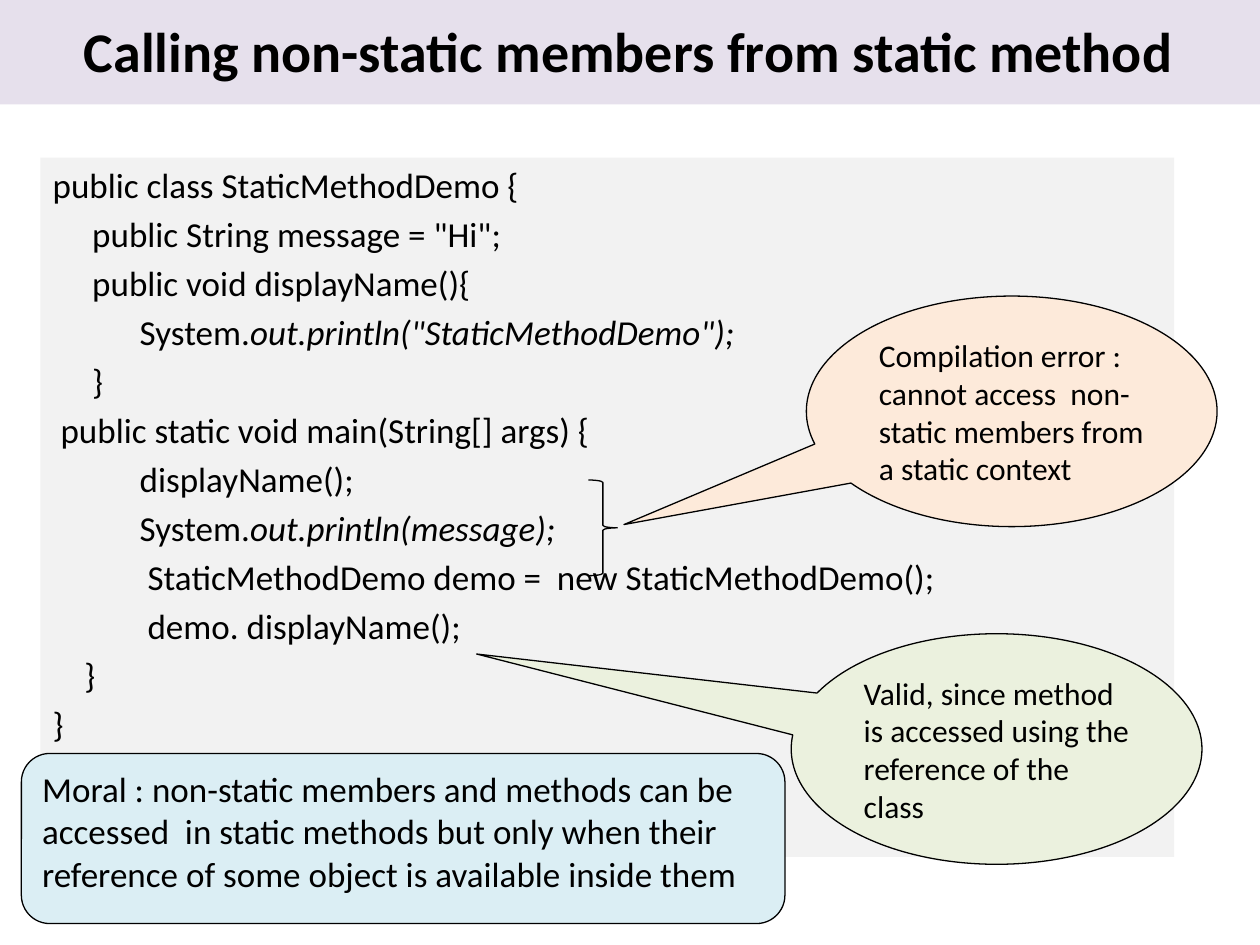
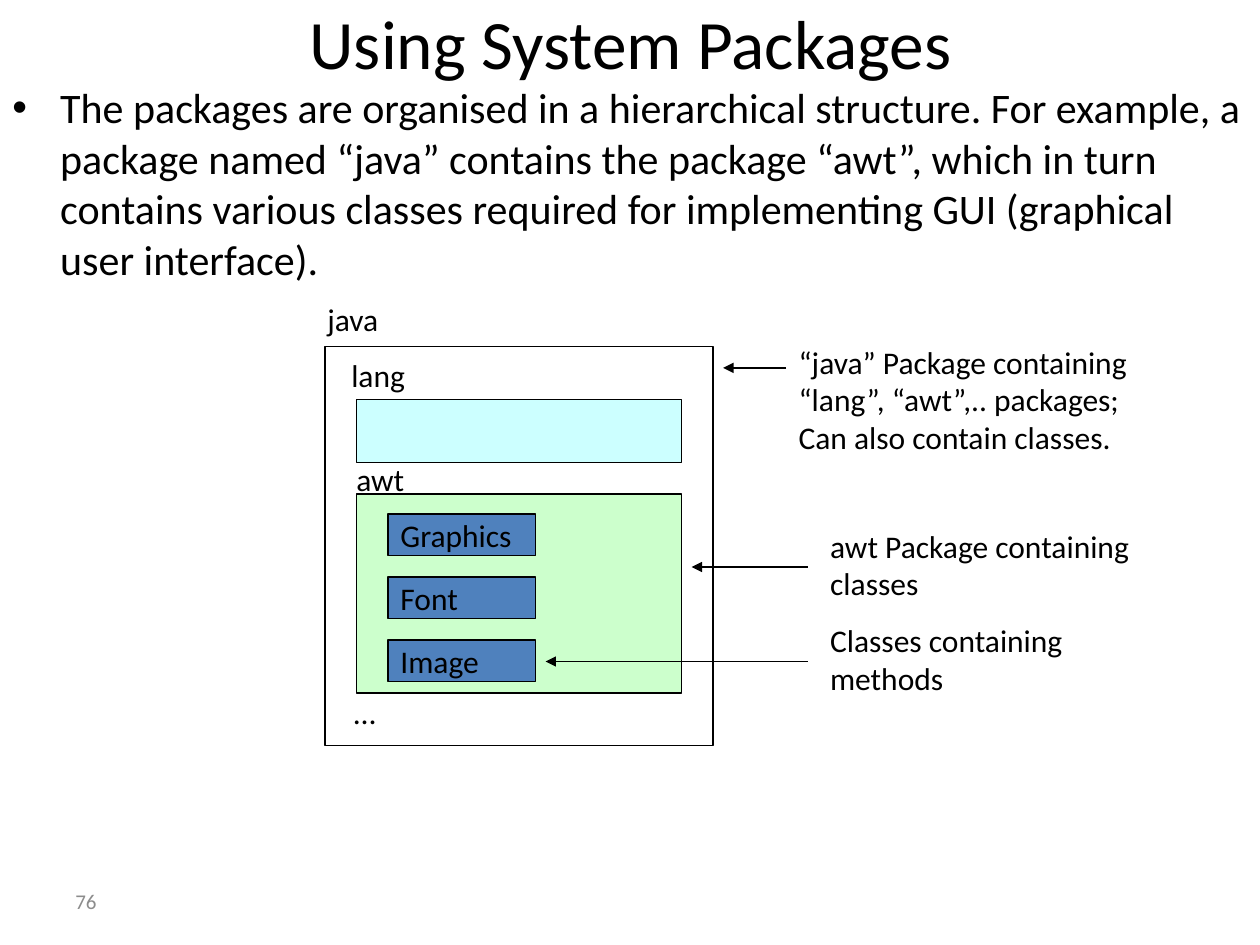
from lxml.etree import SubElement
from pptx import Presentation
from pptx.dml.color import RGBColor
from pptx.enum.shapes import MSO_CONNECTOR, MSO_SHAPE as SHAPE
from pptx.enum.text import MSO_ANCHOR as ANCHOR, PP_ALIGN as ALIGN
from pptx.oxml.ns import qn
from pptx.util import Inches, Pt

FONT = "Calibri"
BLACK = RGBColor(0x00, 0x00, 0x00)
NUMBER_GREY = RGBColor(0x8C, 0x8C, 0x8C)
LILAC = RGBColor(0xE6, 0xE0, 0xEC)
CODE_GREY = RGBColor(0xF2, 0xF2, 0xF2)
PEACH = RGBColor(0xFD, 0xEA, 0xDA)
OLIVE = RGBColor(0xEB, 0xF1, 0xDE)
PALE_BLUE = RGBColor(0xDB, 0xEE, 0xF4)
AWT_GREEN = RGBColor(0xCC, 0xFF, 0xCC)
LANG_CYAN = RGBColor(0xCC, 0xFF, 0xFF)
CLASS_BLUE = RGBColor(0x4F, 0x81, 0xBD)
LINE_WIDTH = Pt(0.75)
TITLE = dict(align=ALIGN.CENTER, anchor=ANCHOR.MIDDLE)


def add_box(page, place, text="", shape=SHAPE.RECTANGLE, fill=None, outline=True,
            adjust=(), size=18, color=BLACK, bold=False, align=ALIGN.LEFT,
            anchor=ANCHOR.TOP, gap=0, bullet=None):
    """Add a shape with text; each line may hold an italic part after a bar."""
    box = page.shapes.add_shape(shape, *map(Inches, place))
    box.shadow.inherit = False
    for index, value in enumerate(adjust):
        box.adjustments[index] = value
    if fill is None:
        box.fill.background()
    else:
        box.fill.solid()
        box.fill.fore_color.rgb = fill
    if outline:
        box.line.color.rgb = BLACK
        box.line.width = LINE_WIDTH
    else:
        box.line.fill.background()

    frame = box.text_frame
    frame.word_wrap = True
    frame.vertical_anchor = anchor
    for index, line in enumerate(text.split("\n")):
        para = frame.add_paragraph() if index else frame.paragraphs[0]
        para.alignment = align
        if index and gap:
            para.space_before = Pt(gap)
        if bullet:
            props = para._p.get_or_add_pPr()
            props.set("marL", str(Inches(0.38)))
            props.set("indent", str(Inches(-0.38)))
            SubElement(props, qn("a:buFont"), typeface="Arial")
            SubElement(props, qn("a:buChar"), char=bullet)
        for part, words in enumerate(line.split("|")):
            if not words:
                continue
            span = para.add_run()
            span.text = words
            span.font.name = FONT
            span.font.size = Pt(size)
            span.font.color.rgb = color
            span.font.bold = bold
            span.font.italic = part == 1
    return box


def add_arrow(page, start, end, y):
    arrow = page.shapes.add_connector(MSO_CONNECTOR.STRAIGHT, Inches(start), Inches(y),
                                      Inches(end), Inches(y))
    arrow.line.color.rgb = BLACK
    arrow.line.width = LINE_WIDTH
    SubElement(arrow.line._get_or_add_ln(), qn("a:tailEnd"), type="triangle")
    SubElement(arrow._element.spPr, qn("a:effectLst"))


deck = Presentation()
deck.slide_width, deck.slide_height = Inches(10), Inches(7.5)
blank = deck.slide_layouts[6]

# Slide 1: title band and code panel
page = deck.slides.add_slide(blank)
add_box(page, (-0.02, -0.03, 10.02, 0.86), "Calling non-static members from static method",
        fill=LILAC, outline=False, size=32, bold=True, **TITLE)

CODE = """public class StaticMethodDemo {
     public String message = "Hi";
     public void displayName(){
           System.|out.println("StaticMethodDemo");
     }
 public static void main(String[] args) {
           displayName();
           System.|out.println(message);
            StaticMethodDemo demo =  new StaticMethodDemo();
            demo. displayName();
    }
}"""
add_box(page, (0.32, 1.25, 9, 5.55), CODE, fill=CODE_GREY, outline=False, size=20, gap=4)

# Callouts, brace and moral
add_box(page, (6.4, 2.35, 3.26, 1.83),
        "Compilation error : cannot access  non-static members from a static context",
        shape=SHAPE.OVAL_CALLOUT, adjust=(-0.944, 0.491), fill=PEACH)
add_box(page, (4.67, 3.81, 0.23, 0.76), shape=SHAPE.RIGHT_BRACE, adjust=(0.084, 0.5))
add_box(page, (6.28, 5.03, 3.26, 1.83),
        "Valid, since method is accessed using the reference of the class",
        shape=SHAPE.OVAL_CALLOUT, adjust=(-1.266, -0.412), fill=OLIVE)
add_box(page, (0.17, 5.98, 6.06, 1.35),
        "Moral : non-static members and methods can be accessed  in static methods "
        "but only when their reference of some object is available inside them",
        shape=SHAPE.ROUNDED_RECTANGLE, fill=PALE_BLUE, size=20)

# Slide 2: title, text and page number
page = deck.slides.add_slide(blank)
add_box(page, (0.5, 6.95, 2.33, 0.4), "76", outline=False, size=12, color=NUMBER_GREY,
        anchor=ANCHOR.MIDDLE)
add_box(page, (0.03, 0, 9.95, 0.67), "Using System Packages", outline=False, size=39.6,
        **TITLE)
add_box(page, (0, 0.6, 9.97, 4.95),
        "The packages are organised in a hierarchical structure. For example, a package "
        "named “java” contains the package “awt”, which in turn contains various classes "
        "required for implementing GUI (graphical user interface).",
        outline=False, size=24, bullet="•")

# Nested packages and the classes in awt
for place, fill in [((2.58, 2.75, 3.08, 3.17), None),
                    ((2.83, 3.92, 2.58, 1.58), AWT_GREEN),
                    ((2.83, 3.17, 2.58, 0.5), LANG_CYAN)]:
    add_box(page, place, fill=fill)
for row, name in enumerate(["Graphics", "Font", "Image"]):
    add_box(page, (3.08, 4.08 + 0.5 * row, 1.17, 0.33), name, fill=CLASS_BLUE,
            anchor=ANCHOR.MIDDLE)

# Package labels and explanations
for place, label in [
    ((2.5, 2.33, 0.66, 0.4), "java"),
    ((2.69, 2.78, 0.67, 0.4), "lang"),
    ((2.73, 3.6, 0.6, 0.4), "awt"),
    ((2.71, 5.45, 0.41, 0.4), "…"),
    ((6.24, 2.67, 3.07, 1), "“java” Package containing\n“lang”, “awt”,.. packages;\n"
                            "Can also contain classes."),
    ((6.49, 4.13, 2.81, 0.7), "awt Package containing\nclasses"),
    ((6.49, 4.88, 2.3, 0.7), "Classes containing\nmethods"),
]:
    add_box(page, place, label, outline=False)

# Arrows from the explanations to the packages
for start, end, y in [(6.24, 5.74, 2.92), (6.41, 5.49, 4.5), (6.41, 4.33, 5.25)]:
    add_arrow(page, start, end, y)

deck.save("out.pptx")
